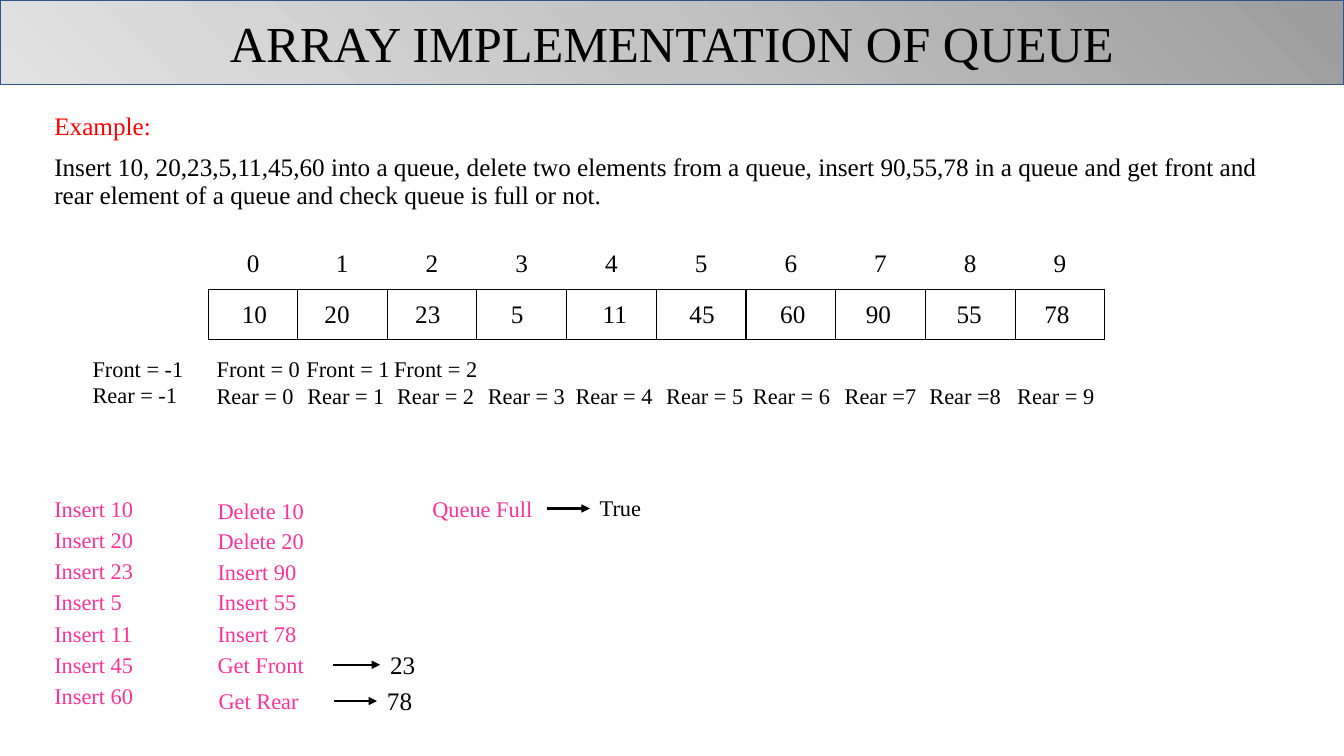
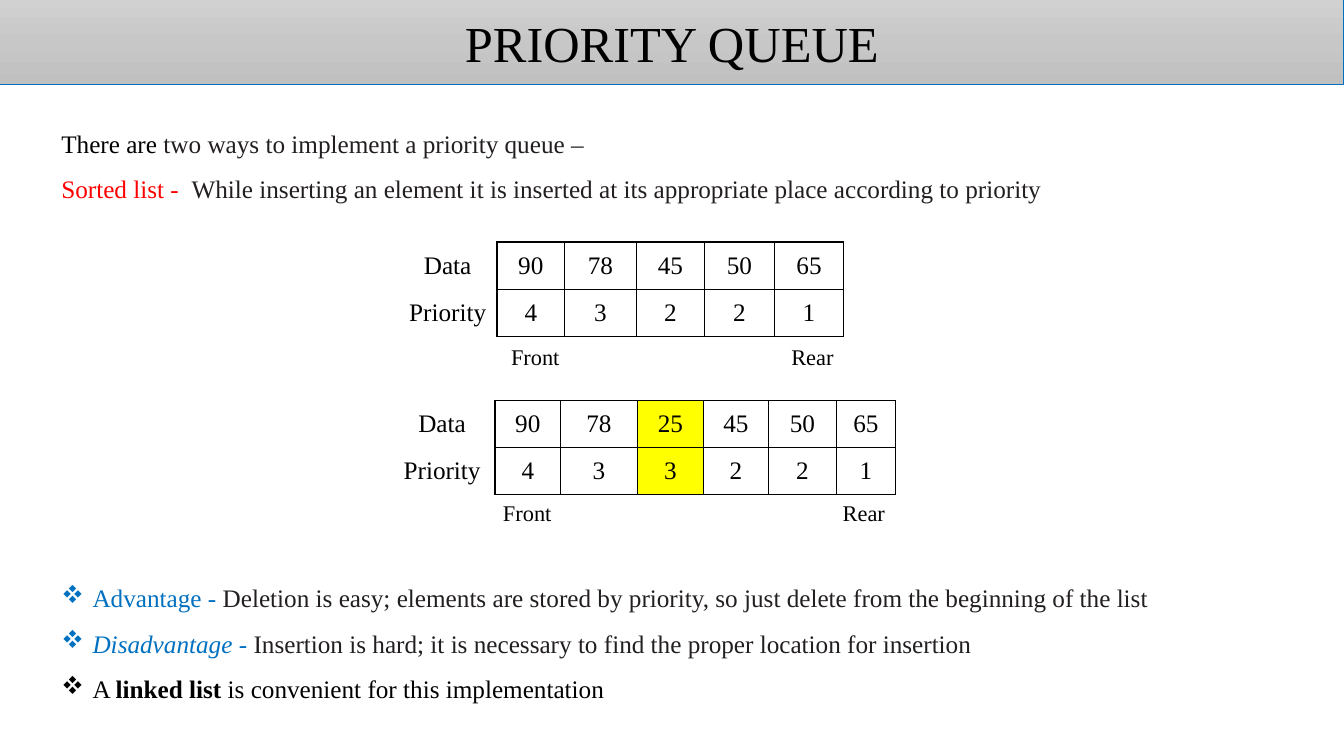
from copy import deepcopy

from lxml.etree import SubElement
from pptx import Presentation
from pptx.dml.color import RGBColor
from pptx.enum.shapes import MSO_CONNECTOR, MSO_SHAPE
from pptx.enum.text import MSO_ANCHOR, PP_ALIGN
from pptx.oxml import parse_xml
from pptx.oxml.ns import nsdecls, qn
from pptx.util import Pt

PX = 9144
SLIDE_WIDTH, SLIDE_HEIGHT = 1333, 750
FONT = "Times New Roman"
NO_GRID_STYLE = "{2D5ABB26-0587-4C30-8999-92F81FD0307C}"
COLORS = {
    "black": "000000", "ink": "231F20", "red": "FF0000", "pink": "FF3399",
    "blue": "0070C0", "navy": "31538F", "yellow": "FFFF00",
    "gray_dark": "9C9C9C", "gray_mid": "C3C3C3", "gray_light": "E2E2E2",
    "silver_top": "D1D1D1", "silver_mid": "C7C7C7", "silver_low": "C0C0C0",
}


def rgb(name):
    """Return the named colour."""
    return RGBColor.from_string(COLORS[name])


def scaled(*lengths):
    """Turn px lengths into EMU."""
    return [length * PX for length in lengths]


def write(para, spans, size, color="black"):
    """Write a string, or (text, colour, style) spans, into a paragraph."""
    para.font.name, para.font.size = FONT, Pt(size)
    if isinstance(spans, str):
        para.font.color.rgb = rgb(color)
        para.add_run().text = spans
        return
    for text, span_color, style in spans:
        span = para.add_run()
        span.text = text
        span.font.color.rgb = rgb(span_color)
        if style:
            setattr(span.font, style, True)


def add_text(page, box, lines, size=16, color="black"):
    """Add a text box with one paragraph for each line."""
    label = page.shapes.add_textbox(*scaled(*box))
    frame = label.text_frame
    frame.word_wrap = True
    for index, line in enumerate(lines):
        para = frame.add_paragraph() if index else frame.paragraphs[0]
        write(para, line, size, color)
    return label


def add_title_band(page, title, stops, angle, line_color, line_width):
    """Add the shaded title band across the top of the page."""
    band = page.shapes.add_shape(MSO_SHAPE.RECTANGLE, *scaled(0, 0, SLIDE_WIDTH, 84))
    band.shadow.inherit = False
    band.fill.gradient()
    band.fill.gradient_angle = angle
    stop_list = band._element.spPr.find(qn("a:gradFill")).find(qn("a:gsLst"))
    stop_list.append(deepcopy(stop_list[0]))
    for stop, position, name in zip(band.fill.gradient_stops, (0, 0.5, 1), stops):
        stop.position = position
        stop.color.rgb = rgb(name)
    band.line.color.rgb = rgb(line_color)
    band.line.width = Pt(line_width)
    band.text_frame.vertical_anchor = MSO_ANCHOR.MIDDLE
    para = band.text_frame.paragraphs[0]
    para.alignment = PP_ALIGN.CENTER
    write(para, title, 36)


def set_borders(cell, sides):
    """Draw thin black borders on the given sides, in L, R, T, B order."""
    for index, side in enumerate(sides):
        border = parse_xml(
            f'<a:ln{side} {nsdecls("a")} w="12700"><a:solidFill>'
            f'<a:srgbClr val="{COLORS["black"]}"/></a:solidFill></a:ln{side}>')
        cell._tc.get_or_add_tcPr().insert(index, border)


def add_grid(page, left, top, widths, row_height, rows, sides_at, marked=None):
    """Add a centred table; sides_at gives the borders of each cell."""
    box = scaled(left, top, sum(widths), row_height * len(rows))
    table = page.shapes.add_table(len(rows), len(widths), *box).table
    table._tbl.tblPr.find(qn("a:tableStyleId")).text = NO_GRID_STYLE
    table.first_row = table.horz_banding = False
    for column, width in zip(table.columns, widths):
        column.width = width * PX
    for row, values in enumerate(rows):
        table.rows[row].height = row_height * PX
        for column, value in enumerate(values):
            cell = table.cell(row, column)
            cell.vertical_anchor = MSO_ANCHOR.MIDDLE
            para = cell.text_frame.paragraphs[0]
            para.alignment = PP_ALIGN.CENTER
            write(para, str(value), 18)
            if column == marked:
                cell.fill.solid()
                cell.fill.fore_color.rgb = rgb("yellow")
            else:
                cell.fill.background()
            set_borders(cell, sides_at(row, column))


def add_array(page, left, top, values):
    """Add the indexed empty array and lay its values over the cells."""
    edges = [889 * index // 10 for index in range(11)]
    widths = [end - start for start, end in zip(edges, edges[1:])]
    add_grid(page, left, top, widths, 50, [range(10), [""] * 10],
             lambda row, column: "LRTB" if row else "B")
    offsets = (23, 105, 195, 290, 381, 467, 557, 642, 732, 819)
    for offset, value in zip(offsets, values):
        add_text(page, (left + offset, top + 54, 46, 40), [str(value)], 18)


def add_query(page, left, top, question, answer, gap, size=18):
    """Add a query joined to its answer by an arrow."""
    width, height = 124, 37
    lift = 2 if size == 18 else 1
    asked = add_text(page, (left, top, width, height), [question], color="pink")
    answer_box = (left + width + gap, top - lift, 66, height + 2 * lift)
    replied = add_text(page, answer_box, [answer], size)
    arrow = page.shapes.add_connector(MSO_CONNECTOR.STRAIGHT, 0, 0, 0, 0)
    arrow.begin_connect(asked, 3)
    arrow.end_connect(replied, 1)
    arrow.line.color.rgb = rgb("black")
    arrow.line.width = Pt(1.5)
    SubElement(arrow.line._get_or_add_ln(), qn("a:tailEnd"), type="triangle")
    SubElement(arrow._element.spPr, qn("a:effectLst"))


def add_pointers(page, left, top):
    """Add the front and rear values below the array."""
    add_text(page, (left - 123, top, 124, 64), ["Front = -1", "Rear = -1"])
    front_offsets = (0, 89, 176)
    rear_offsets = (0, 90, 179, 269, 356, 446, 532, 623, 707, 794)
    for index, offset in enumerate(front_offsets):
        add_text(page, (left + offset, top, 124, 37), [f"Front = {index}"])
    for index, offset in enumerate(rear_offsets):
        label = f"Rear ={index}" if index in (7, 8) else f"Rear = {index}"
        add_text(page, (left + offset, top + 27, 100, 37), [label])


def add_operations(page, left, top, operations, height):
    """Spread a column of queue operations evenly over a height."""
    for index, operation in enumerate(operations):
        offset = height * index // (len(operations) - 1)
        add_text(page, (left, top + offset, 124, 37), [operation], color="pink")


def add_spaced_text(page, box, lines, bullets=()):
    """Add widely spaced text, with a bullet for each colour in bullets."""
    frame = add_text(page, box, lines, 18).text_frame
    for para in frame.paragraphs:
        para.line_spacing = 1.5
    for para, color in zip(frame.paragraphs, bullets):
        properties = para._p.get_or_add_pPr()
        properties.set("marL", str(31 * PX))
        properties.set("indent", str(-31 * PX))
        marks = (f'<a:buClr {nsdecls("a")}><a:srgbClr val="{COLORS[color]}"/></a:buClr>',
                 f'<a:buFont {nsdecls("a")} typeface="Wingdings" charset="2"/>',
                 f'<a:buChar {nsdecls("a")} char="v"/>')
        for index, mark in enumerate(marks, 1):
            properties.insert(index, parse_xml(mark))


def add_priority_list(page, left, top, widths, data, priorities, ends, marked=None):
    """Add a priority queue table with its front and rear labels."""
    rows = [["Data", *data], ["Priority", *priorities]]
    add_grid(page, left, top, widths, 47, rows,
             lambda row, column: "LRTB" if column else "R", marked)
    front, rear, below = ends
    add_text(page, (left + front, top + below, 78, 37), ["Front"])
    add_text(page, (left + rear, top + below, 62, 37), ["Rear"])


def build_array_page(page):
    """Build the array implementation slide."""
    add_title_band(page, "ARRAY IMPLEMENTATION OF QUEUE",
                   ("gray_dark", "gray_mid", "gray_light"), 225, "navy", 1)
    example = add_text(page, (44, 108, 1215, 137), [
        [("Example:", "red", None)],
        "Insert 10, 20,23,5,11,45,60 into a queue, delete two elements from a queue, "
        "insert 90,55,78 in a queue and get front and rear element of a queue and "
        "check queue is full or not."], 18)
    for para in example.text_frame.paragraphs:
        para.line_spacing = 0.9
    example.text_frame.paragraphs[1].space_before = Pt(10)
    values = [10, 20, 23, 5, 11, 45, 60, 90, 55, 78]
    add_array(page, 207, 237, values)
    add_pointers(page, 205, 347)
    add_operations(page, 44, 486, [f"Insert {value}" for value in values[:7]], 186)
    add_operations(page, 206, 488, ["Delete 10", "Delete 20", "Insert 90",
                                    "Insert 55", "Insert 78"], 122)
    add_query(page, 206, 641, "Get Front", "23", 47)
    add_query(page, 207, 677, "Get Rear", "78", 43)
    add_query(page, 419, 486, "Queue Full", "True", 42, 16)


def build_priority_page(page):
    """Build the priority queue slide."""
    add_title_band(page, "PRIORITY QUEUE",
                   ("silver_top", "silver_mid", "silver_low"), 270, "blue", 0.75)
    add_spaced_text(page, (51, 107, 1231, 100), [
        [("There are ", "black", None),
         ("two ways to implement a priority queue –", "ink", None)],
        [("Sorted list -  ", "red", None),
         ("While inserting an element it is inserted at its appropriate place "
          "according to priority", "ink", None)]])
    add_priority_list(page, 395, 240, [98, 67, 71, 68, 69, 69],
                      [90, 78, 45, 50, 65], [4, 3, 2, 2, 1], (102, 380, 96))
    add_priority_list(page, 386, 397, [105, 65, 76, 66, 64, 68, 58],
                      [90, 78, 25, 45, 50, 65], [4, 3, 3, 2, 2, 1],
                      (103, 440, 93), marked=3)
    add_spaced_text(page, (51, 558, 1231, 145), [
        [("Advantage - ", "blue", None),
         ("Deletion is easy; elements are stored by priority, so just delete from "
          "the beginning of the list", "ink", None)],
        [("Disadvantage", "blue", "italic"), (" - ", "blue", None),
         ("Insertion is hard; it is necessary to find the proper location for "
          "insertion", "ink", None)],
        [("A ", "black", None), ("linked list ", "black", "bold"),
         ("is convenient for this implementation", "black", None)]],
        ("blue", "blue", "black"))


def main():
    """Build and save the deck."""
    deck = Presentation()
    deck.slide_width, deck.slide_height = scaled(SLIDE_WIDTH, SLIDE_HEIGHT)
    for build in (build_array_page, build_priority_page):
        build(deck.slides.add_slide(deck.slide_layouts[6]))
    deck.save("out.pptx")


if __name__ == "__main__":
    main()
